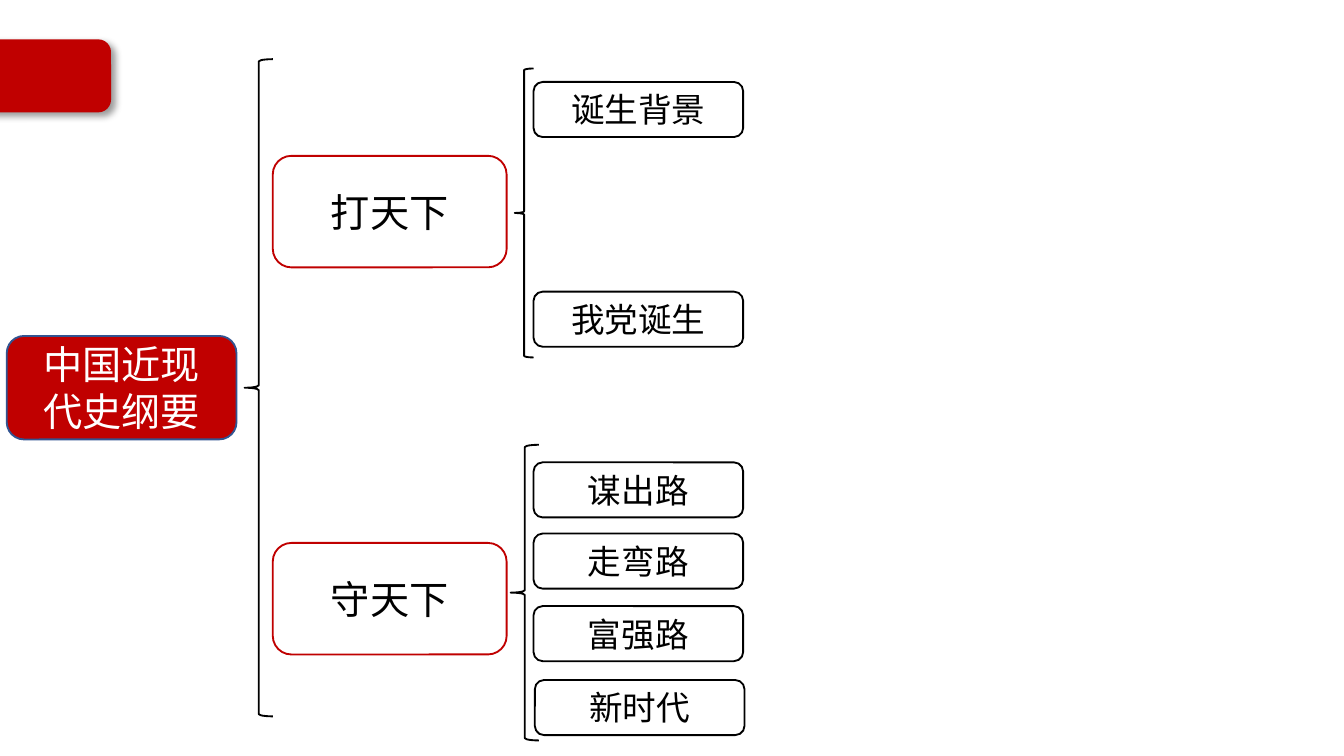
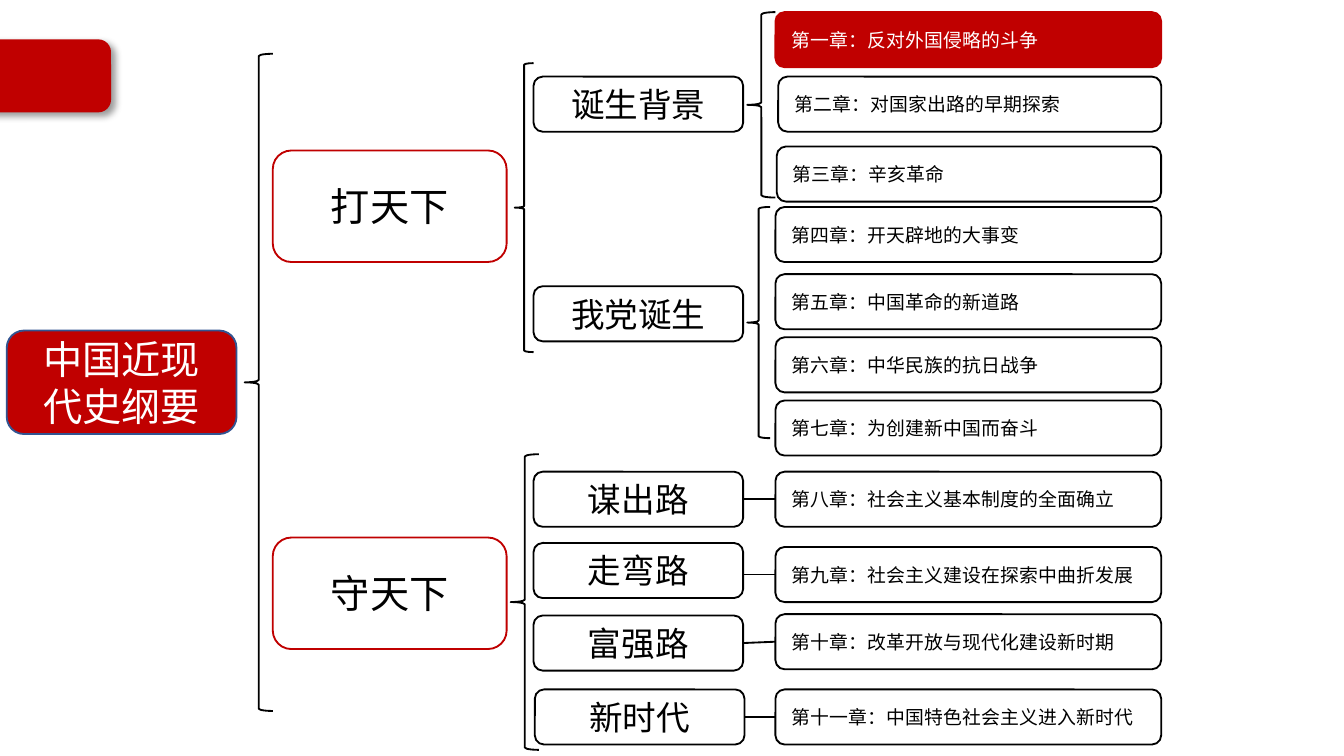
"""Build two mind-map slides outlining a course on modern Chinese history."""
from dataclasses import dataclass

from lxml.etree import SubElement
from pptx import Presentation
from pptx.dml.color import RGBColor
from pptx.enum.shapes import MSO_CONNECTOR as Connector, MSO_SHAPE as Shape
from pptx.enum.text import MSO_ANCHOR as Anchor, PP_ALIGN as Align
from pptx.oxml import parse_xml
from pptx.oxml.ns import nsdecls, qn
from pptx.util import Inches, Pt


@dataclass(frozen=True)
class Theme:
    red: str = "C00000"
    navy: str = "325491"
    black: str = "000000"
    white: str = "FFFFFF"
    font: str = "Noto Sans CJK SC"
    branch_size: float = 21
    topic_size: float = 18
    chapter_size: float = 10.13
    line_width: float = 1


THEME = Theme()
BOX_HEIGHT = 0.41
TOPIC_LEFT, TOPIC_WIDTH = 3.97, 1.56
CHAPTER_LEFT, CHAPTER_RIGHT = 5.77, 8.64
BRANCHES = [("打天下", 1.16), ("守天下", 4.04)]
FOUNDING_TOPICS = [
    ("诞生背景", TOPIC_LEFT, 0.61),
    ("我党诞生", TOPIC_LEFT, 2.17),
]
BUILDING_TOPICS = [
    ("谋出路", TOPIC_LEFT, 3.44),
    ("走弯路", TOPIC_LEFT, 3.97),
    ("富强路", TOPIC_LEFT, 4.51),
    ("新时代", 3.98, 5.06),
]
CHAPTERS = [
    ("第一章：反对外国侵略的斗争", CHAPTER_LEFT, 0.09),
    ("第二章：对国家出路的早期探索", 5.79, 0.57),
    ("第三章：辛亥革命", 5.78, 1.09),
    ("第四章：开天辟地的大事变", CHAPTER_LEFT, 1.54),
    ("第五章：中国革命的新道路", CHAPTER_LEFT, 2.04),
    ("第六章：中华民族的抗日战争", CHAPTER_LEFT, 2.51),
    ("第七章：为创建新中国而奋斗", CHAPTER_LEFT, 2.98),
    ("第八章：社会主义基本制度的全面确立", CHAPTER_LEFT, 3.51),
    ("第九章：社会主义建设在探索中曲折发展", CHAPTER_LEFT, 4.07),
    ("第十章：改革开放与现代化建设新时期", CHAPTER_LEFT, 4.57),
    ("第十一章：中国特色社会主义进入新时代", CHAPTER_LEFT, 5.13),
]


def write_text(shape, text, size, color, align=Align.CENTER):
    frame = shape.text_frame
    frame.word_wrap = True
    frame.vertical_anchor = Anchor.MIDDLE
    paragraph = frame.paragraphs[0]
    paragraph.alignment = align
    run = paragraph.add_run()
    run.text = text
    run.font.size = Pt(size)
    run.font.color.rgb = RGBColor.from_string(color)
    run.font.name = THEME.font
    SubElement(run.font._element, qn("a:ea"), typeface=THEME.font)


class MindMap:
    def __init__(self, presentation, theme):
        self.theme = theme
        self.slide = presentation.slides.add_slide(presentation.slide_layouts[6])

    def outline(self, item, color):
        item.line.color.rgb = RGBColor.from_string(color)
        item.line.width = Pt(self.theme.line_width)

    def box(self, left, top, width, height, fill=None, line=None):
        shape = self.slide.shapes.add_shape(
            Shape.ROUNDED_RECTANGLE,
            Inches(left), Inches(top), Inches(width), Inches(height))
        shape.shadow.inherit = False
        shape.fill.solid()
        shape.fill.fore_color.rgb = RGBColor.from_string(fill or self.theme.white)
        self.outline(shape, line or self.theme.black)
        return shape

    def brace(self, left, top, width, height):
        shape = self.slide.shapes.add_shape(
            Shape.LEFT_BRACE,
            Inches(left), Inches(top), Inches(width), Inches(height))
        shape.shadow.inherit = False
        shape.fill.background()
        self.outline(shape, self.theme.black)

    def tab(self):
        shape = self.box(-0.14, 0.3, 0.96, 0.53, self.theme.red, self.theme.red)
        properties = shape._element.spPr
        properties.remove(properties.find(qn("a:effectLst")))
        properties.append(parse_xml(
            f'<a:effectLst {nsdecls("a")}><a:outerShdw blurRad="{Pt(4)}" '
            f'dist="{Pt(3)}" dir="2700000" algn="tl" rotWithShape="0">'
            f'<a:srgbClr val="{self.theme.black}"><a:alpha val="40000"/>'
            '</a:srgbClr></a:outerShdw></a:effectLst>'))

    def root(self, top):
        shape = self.box(0.05, top, 1.71, 0.77, self.theme.red, self.theme.navy)
        write_text(shape, "中国近现代史纲要", self.theme.branch_size, self.theme.white)

    def branch(self, text, top):
        shape = self.box(2.03, top, 1.74, 0.83, line=self.theme.red)
        write_text(shape, text, self.theme.branch_size, self.theme.black)

    def topic(self, text, left, top):
        shape = self.box(left, top, TOPIC_WIDTH, BOX_HEIGHT)
        write_text(shape, text, self.theme.topic_size, self.theme.black)
        return shape

    def chapter(self, text, left, top, current=False):
        accent = self.theme.red if current else None
        shape = self.box(left, top, CHAPTER_RIGHT - left, BOX_HEIGHT, accent, accent)
        color = self.theme.white if current else self.theme.black
        write_text(shape, text, self.theme.chapter_size, color, Align.LEFT)

        return shape

    def link(self, chapter, topic):
        middle = chapter.top + chapter.height // 2
        connector = self.slide.shapes.add_connector(
            Connector.STRAIGHT, chapter.left, middle, topic.left + topic.width, middle)
        connector.begin_connect(chapter, 1)
        if abs(chapter.top - topic.top) < Inches(0.02):
            connector.end_connect(topic, 3)
        self.outline(connector, self.theme.black)
        SubElement(connector._element.spPr, qn("a:effectLst"))

    def framework(self, shift=0, lower_shift=0):
        self.tab()
        self.root(2.5 + shift)
        self.brace(1.82, 0.44 + shift, 0.21, 4.89)
        for text, top in BRANCHES:
            self.branch(text, top + shift)
        self.brace(3.83, 0.51 + shift, 0.14, 2.15)
        self.brace(3.8, 3.31 + lower_shift, 0.21, 2.2)
        for text, left, top in FOUNDING_TOPICS:
            self.topic(text, left, top + shift)
        return [self.topic(text, left, top + lower_shift)
                for text, left, top in BUILDING_TOPICS]


def build_overview(presentation):
    MindMap(presentation, THEME).framework()


def build_chapters(presentation):
    mind_map = MindMap(presentation, THEME)
    topics = mind_map.framework(shift=-0.04, lower_shift=0.07)
    mind_map.brace(5.56, 0.09, 0.21, 1.38)
    mind_map.brace(5.56, 1.54, 0.17, 1.72)
    chapters = [mind_map.chapter(*chapter, current=index == 0)
                for index, chapter in enumerate(CHAPTERS)]
    for chapter, topic in zip(chapters[-len(topics):], topics):
        mind_map.link(chapter, topic)


def main():
    presentation = Presentation()
    presentation.slide_width = Inches(10)
    presentation.slide_height = Inches(5.625)
    build_overview(presentation)
    build_chapters(presentation)
    presentation.save("out.pptx")


if __name__ == "__main__":
    main()
